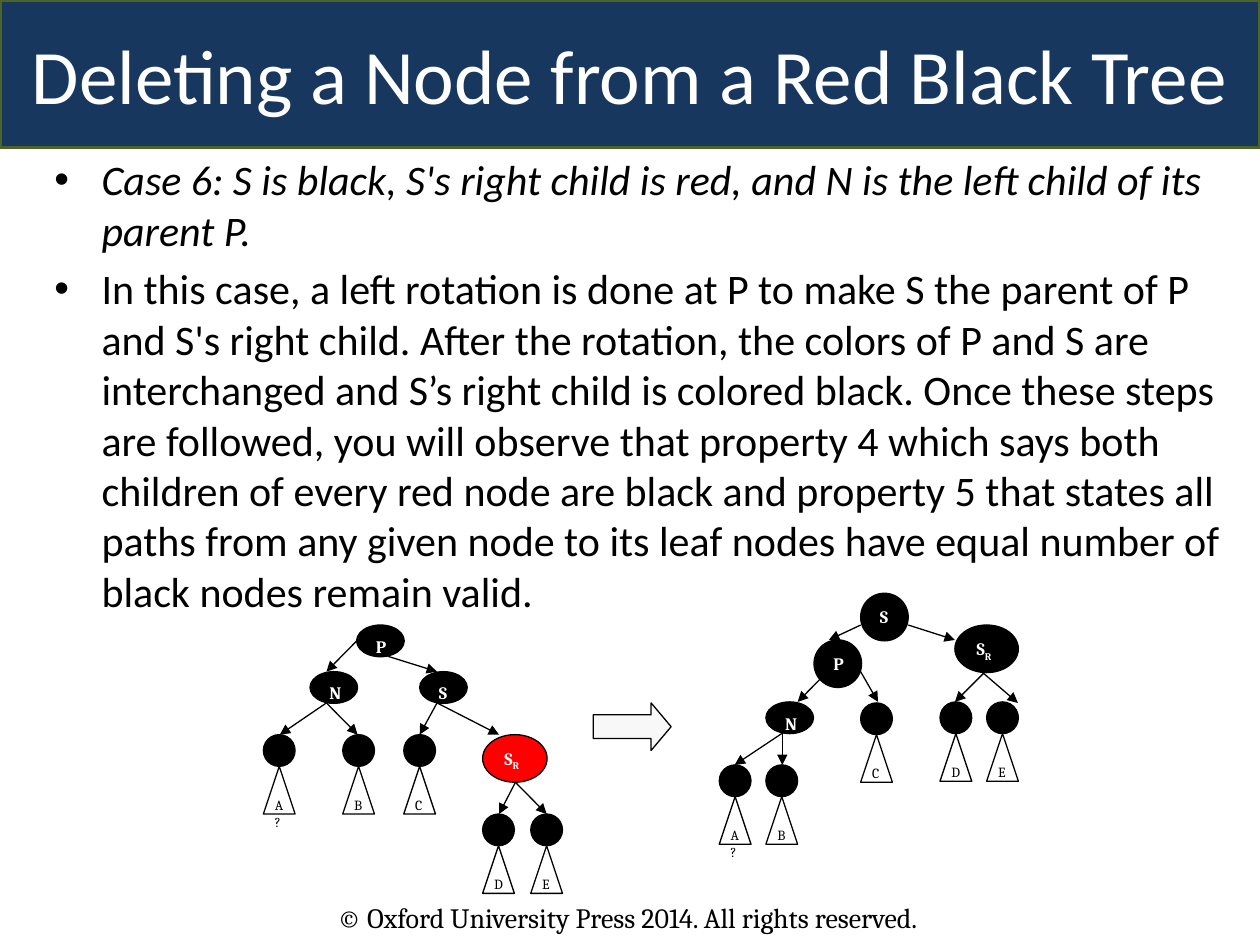
from pptx import Presentation
from pptx.dml.color import RGBColor
from pptx.enum import shapes as kinds, text as tx
from pptx.oxml import ns, xmlchemy as xc
from pptx.util import Cm, Pt

HUES = {"navy": "17375E", "olive": "4F6228", "black": "000000",
        "white": "FFFFFF", "red": "FF0000", "pale": "F8F8F8"}
FORM = kinds.MSO_SHAPE

NODES = [
    ("P", 7.19, 12.6, 0.96, 0.64, "black"),
    ("N", 6.25, 13.54, 0.96, 0.64, "black"),
    ("S", 8.46, 13.54, 0.96, 0.64, "black"),
    ("SR", 9.73, 14.81, 1.3, 0.96, "red"),
    ("S", 17.35, 11.96, 0.96, 0.96, "black"),
    ("P", 16.41, 12.9, 0.96, 0.96, "black"),
    ("N", 15.44, 14.15, 0.96, 0.64, "black"),
    ("SR", 19.25, 12.6, 1.28, 0.96, "black"),
]
LEAVES = [
    ("A?", 5.31, 14.81), ("B", 6.91, 14.81), ("C", 8.14, 14.81),
    ("D", 9.73, 16.41), ("E", 10.7, 16.41),
    ("A?", 14.5, 15.42), ("B", 15.44, 15.42), ("C", 17.35, 14.17),
    ("D", 18.95, 14.15), ("E", 19.89, 14.15),
]
EDGES = [
    (7.21, 12.9, 6.58, 13.54), (7.82, 13.23, 8.81, 13.54),
    (6.58, 14.17, 5.64, 14.81), (6.58, 14.17, 7.21, 14.81),
    (8.81, 14.17, 8.46, 14.81), (8.81, 14.17, 10.06, 14.81),
    (10.39, 15.77, 10.06, 16.41), (10.39, 15.77, 11.02, 16.41),
    (17.35, 12.6, 16.71, 12.9), (18.31, 12.6, 19.25, 12.9),
    (16.71, 13.51, 16.08, 14.15), (17.35, 13.54, 17.7, 14.15),
    (15.77, 14.78, 14.81, 15.42), (15.77, 14.78, 15.77, 15.42),
    (19.89, 13.51, 19.25, 14.15), (19.58, 13.36, 20.52, 14.17),
]
CASE = ("Case 6: S is black, S's right child is red, and N is the left child "
        "of its parent P.")
STEPS = ("In this case, a left rotation is done at P to make S the parent of P "
         "and S's right child. After the rotation, the colors of P and S are "
         "interchanged and S’s right child is colored black. Once these steps "
         "are followed, you will observe that property 4 which says both "
         "children of every red node are black and property 5 that states all "
         "paths from any given node to its leaf nodes have equal number of "
         "black nodes remain valid.")


def tint(name):
    return RGBColor.from_string(HUES[name])


def write(para, words, size, face="Cambria", hue="black", bold=False,
          slant=False, align=None, sub=False):
    para.alignment = align
    run = para.add_run()
    run.text = words
    font = run.font
    font.name, font.size = face, Pt(size)
    font.bold, font.italic = bold, slant
    font.color.rgb = tint(hue)
    if sub:
        run._r.get_or_add_rPr().set("baseline", "-25000")


def paint(shape, fill, line="black", width=0.75):
    shape.fill.solid()
    shape.fill.fore_color.rgb = tint(fill)
    shape.line.color.rgb = tint(line)
    shape.line.width = Pt(width)


def place(shape, x, y, w, h):
    shape.left, shape.top, shape.width, shape.height = map(Cm, (x, y, w, h))


def draw(slide, form, x, y, w, h, fill):
    shape = slide.shapes.add_shape(form, Cm(x), Cm(y), Cm(w), Cm(h))
    shape.shadow.inherit = False
    paint(shape, fill)
    shape.text_frame.vertical_anchor = tx.MSO_ANCHOR.TOP
    return shape


def node(slide, name, x, y, w, h, fill):
    shape = draw(slide, FORM.OVAL, x, y, w, h, fill)
    para = shape.text_frame.paragraphs[0]
    for i, sign in enumerate(name):
        write(para, sign, 10, hue="white", bold=True, sub=i > 0,
              align=tx.PP_ALIGN.LEFT)


def leaf(slide, name, x, y):
    side = 0.64
    draw(slide, FORM.OVAL, x, y, side, side, "black")
    shape = draw(slide, FORM.FLOWCHART_EXTRACT, x, y + side, side, 0.96, "white")
    write(shape.text_frame.paragraphs[0], name, 8, align=tx.PP_ALIGN.LEFT)


def edge(slide, *ends):
    link = slide.shapes.add_connector(kinds.MSO_CONNECTOR.STRAIGHT,
                                      *map(Cm, ends))
    link.line.color.rgb = tint("black")
    link.line.width = Pt(0.75)
    tip = xc.OxmlElement("a:tailEnd")
    tip.set("type", "triangle")
    props = link._element.spPr
    props.find(ns.qn("a:ln")).append(tip)
    props.append(xc.OxmlElement("a:effectLst"))


def head(slide):
    title = slide.shapes.title
    place(title, 0, 0, 25.4, 2.97)
    paint(title, "navy", "olive", 2)
    frame = title.text_frame
    frame.auto_size = tx.MSO_AUTO_SIZE.NONE
    frame.vertical_anchor = tx.MSO_ANCHOR.MIDDLE
    write(frame.paragraphs[0], "Deleting a Node from a Red Black Tree", 44,
          face="Calibri", hue="white", align=tx.PP_ALIGN.CENTER)


def body(slide):
    box = slide.placeholders[1]
    place(box, 0.84, 2.97, 24.33, 5.72)
    frame = box.text_frame
    frame.auto_size = tx.MSO_AUTO_SIZE.NONE
    write(frame.paragraphs[0], CASE, 24, face="Calibri", slant=True)
    frame.paragraphs[0].space_before = Pt(0)
    write(frame.add_paragraph(), STEPS, 24, face="Calibri")


def foot(slide):
    box = slide.shapes.add_textbox(Cm(6.55), Cm(18.03), Cm(15.04), Cm(0.94))
    box.text_frame.word_wrap = True
    write(box.text_frame.paragraphs[0],
          "© Oxford University Press 2014. All rights reserved.", 16)


def main():
    deck = Presentation()
    deck.slide_width, deck.slide_height = Cm(25.4), Cm(19.05)
    slide = deck.slides.add_slide(deck.slide_layouts[1])
    head(slide)
    body(slide)
    foot(slide)
    for ends in EDGES:
        edge(slide, *ends)
    for item in NODES:
        node(slide, *item)
    for item in LEAVES:
        leaf(slide, *item)
    arrow = draw(slide, FORM.RIGHT_ARROW, 11.96, 14.17, 1.57, 0.96, "pale")
    arrow.adjustments[1] = 0.42
    deck.save("out.pptx")


if __name__ == "__main__":
    main()
